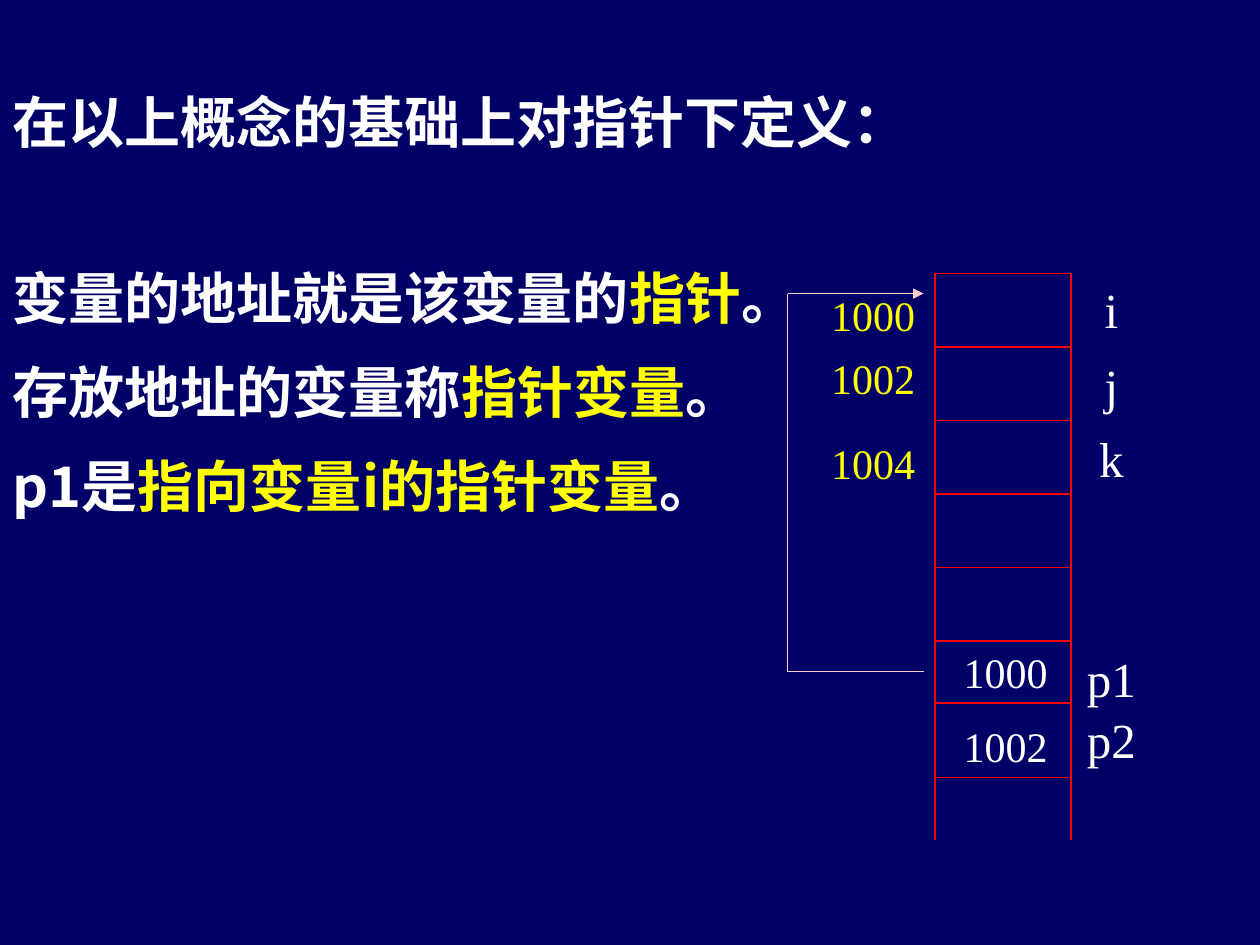
"""Build a slide that defines pointers beside a memory diagram."""
from lxml import etree
from pptx import Presentation
from pptx.dml.color import RGBColor
from pptx.enum.text import MSO_ANCHOR, MSO_AUTO_SIZE, PP_ALIGN
from pptx.enum.shapes import MSO_CONNECTOR
from pptx.oxml.ns import qn
from pptx.util import Inches, Pt

LINE = MSO_CONNECTOR.STRAIGHT
CENTER, JUSTIFY = PP_ALIGN.CENTER, PP_ALIGN.JUSTIFY
TOP = MSO_ANCHOR.TOP
FIT, FIXED = MSO_AUTO_SIZE.SHAPE_TO_FIT_TEXT, MSO_AUTO_SIZE.NONE
SANS, SERIF = "Noto Sans CJK SC", "Times New Roman"
COLORS = {"back": "000066", "text": "FFFFFF", "key": "FFFF00",
          "cell": "FF0000", "link": "FFCCCC"}
LEFT, RIGHT, HEAD, FOOT = 7.42, 8.5, 2.17, 6.67
ROWS = [HEAD + 7 / 12 * n for n in range(6)] + [5.58, 6.17]
LOOP = [(7.33, 5.33), (6.25, 5.33), (6.25, 2.33), (7.33, 2.33)]
BODY = [
    (0, [("在以上概念的基础上对指针下定义：", "text")]),
    (55, [("变量的地址就是该变量的", "text"), ("指针", "key"), ("。", "text")]),
    (8, [("存放地址的变量称", "text"), ("指针变量", "key"), ("。", "text")]),
    (8, [("p1是", "text"), ("指向变量i的指针变量", "key"), ("。", "text")]),
]
CELLS = [
    ("1000", 6.49, 2.25, "key"), ("1002", 6.49, 2.75, "key"),
    ("1004", 6.49, 3.42, "key"),
    ("1000", 7.54, 5.08, "text"), ("1002", 7.54, 5.67, "text"),
]
NAMES = [("i", 8.66, 2.17, 0.32), ("j", 8.66, 2.77, 0.32),
         ("k", 8.62, 3.35, 0.4), ("p1", 8.52, 5.1, 0.6),
         ("p2", 8.52, 5.58, 0.6)]


def color(key):
    """Return a named colour."""
    return RGBColor.from_string(COLORS[key])


def add_body(slide):
    """Fill the subtitle placeholder with the definitions."""
    slide.shapes.title.element.getparent().remove(slide.shapes.title.element)
    body = slide.placeholders[1]
    body.left, body.top = Inches(0), Inches(0)
    body.width, body.height = Inches(10), Inches(7.5)
    frame = body.text_frame
    frame.word_wrap, frame.auto_size = True, FIXED
    frame.vertical_anchor, frame.margin_top = TOP, Inches(0.59)
    for n, (gap, runs) in enumerate(BODY):
        para = frame.add_paragraph() if n else frame.paragraphs[0]
        para.alignment = JUSTIFY
        para.space_before, para.line_spacing = Pt(gap), Pt(45.7)
        font = para.font
        font.name, font.size, font.bold = SANS, Pt(32), True
        for text, key in runs:
            run = para.add_run()
            run.text = text
            run.font.color.rgb = color(key)
            run.font.name = SANS
            etree.SubElement(run.font._element, qn("a:ea"), typeface=SANS)


def add_label(slide, text, left, top, width, height, size, key):
    """Add a centred one-line label."""
    box = slide.shapes.add_textbox(
        Inches(left), Inches(top), Inches(width), Inches(height))
    frame = box.text_frame
    frame.word_wrap, frame.auto_size = False, FIT
    para = frame.paragraphs[0]
    para.text, para.alignment = text, CENTER
    para.font.name, para.font.size = SERIF, Pt(size)
    para.font.color.rgb = color(key)


def add_line(slide, start, end, key, arrow=False):
    """Add a thin straight line, with an arrowhead if asked."""
    line = slide.shapes.add_connector(
        LINE, *(Inches(v) for v in (*start, *end)))
    line.line.color.rgb = color(key)
    line.line.width = Pt(0.75)
    if arrow:
        etree.SubElement(line.line._get_or_add_ln(), qn("a:tailEnd"),
                         type="triangle")
    etree.SubElement(line.element.spPr, qn("a:effectLst"))


def add_grid(slide):
    """Draw the column of memory cells."""
    for x in (LEFT, RIGHT):
        add_line(slide, (x, HEAD), (x, FOOT), "cell")
    for y in ROWS:
        add_line(slide, (LEFT, y), (RIGHT, y), "cell")


def add_loop(slide):
    """Draw the path from the pointer to its target."""
    for n, (start, end) in enumerate(zip(LOOP, LOOP[1:])):
        add_line(slide, start, end, "link", n == len(LOOP) - 2)


def main():
    """Build and save the slide."""
    deck = Presentation()
    deck.slide_width, deck.slide_height = Inches(10), Inches(7.5)
    slide = deck.slides.add_slide(deck.slide_layouts[0])
    slide.background.fill.solid()
    slide.background.fill.fore_color.rgb = color("back")
    add_body(slide)
    add_grid(slide)
    for text, left, top, key in CELLS:
        add_label(slide, text, left, top, 0.88, 0.5, 24, key)
    for text, left, top, width in NAMES:
        add_label(slide, text, left, top, width, 0.57, 28, "text")
    add_loop(slide)
    deck.save("out.pptx")


if __name__ == "__main__":
    main()
